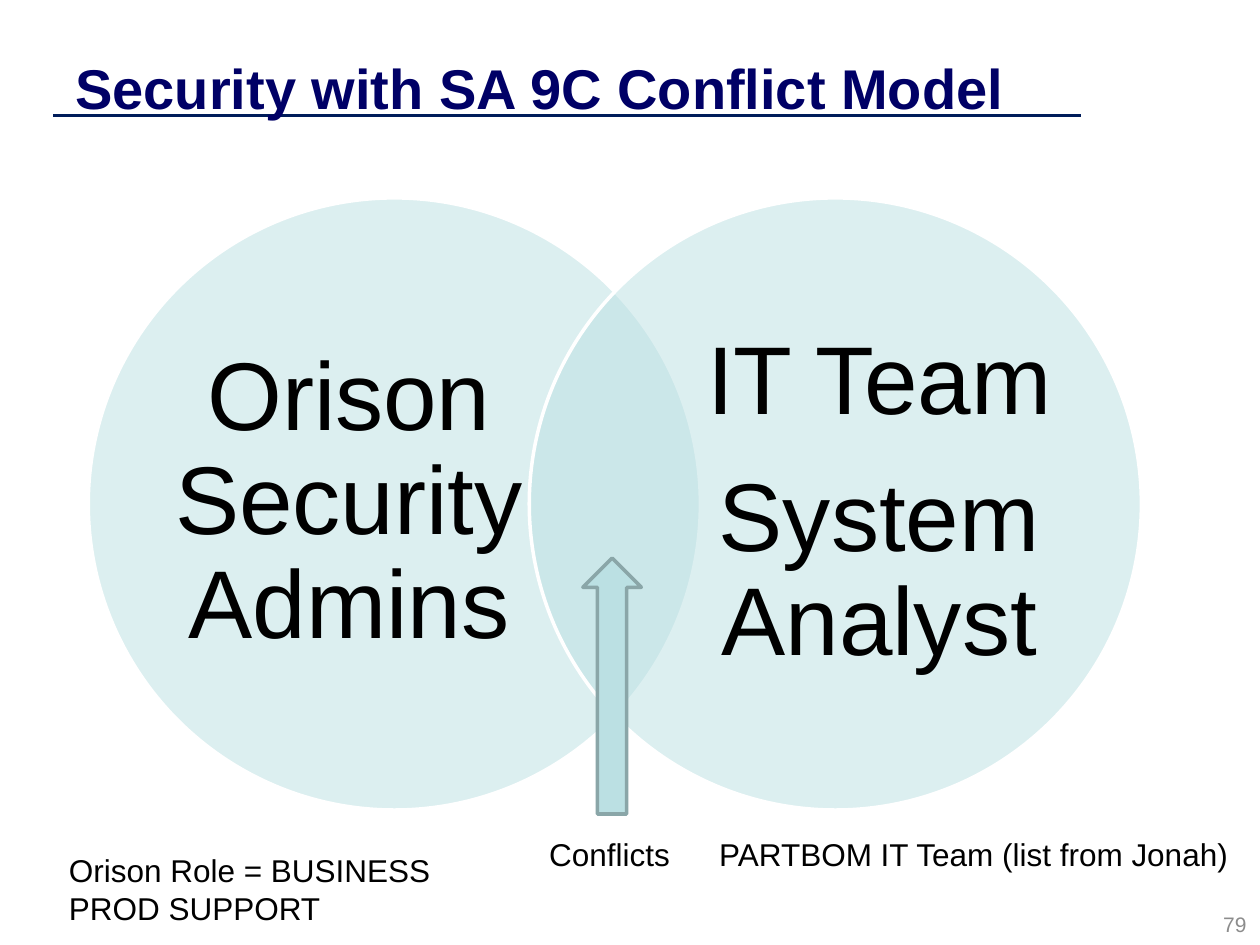
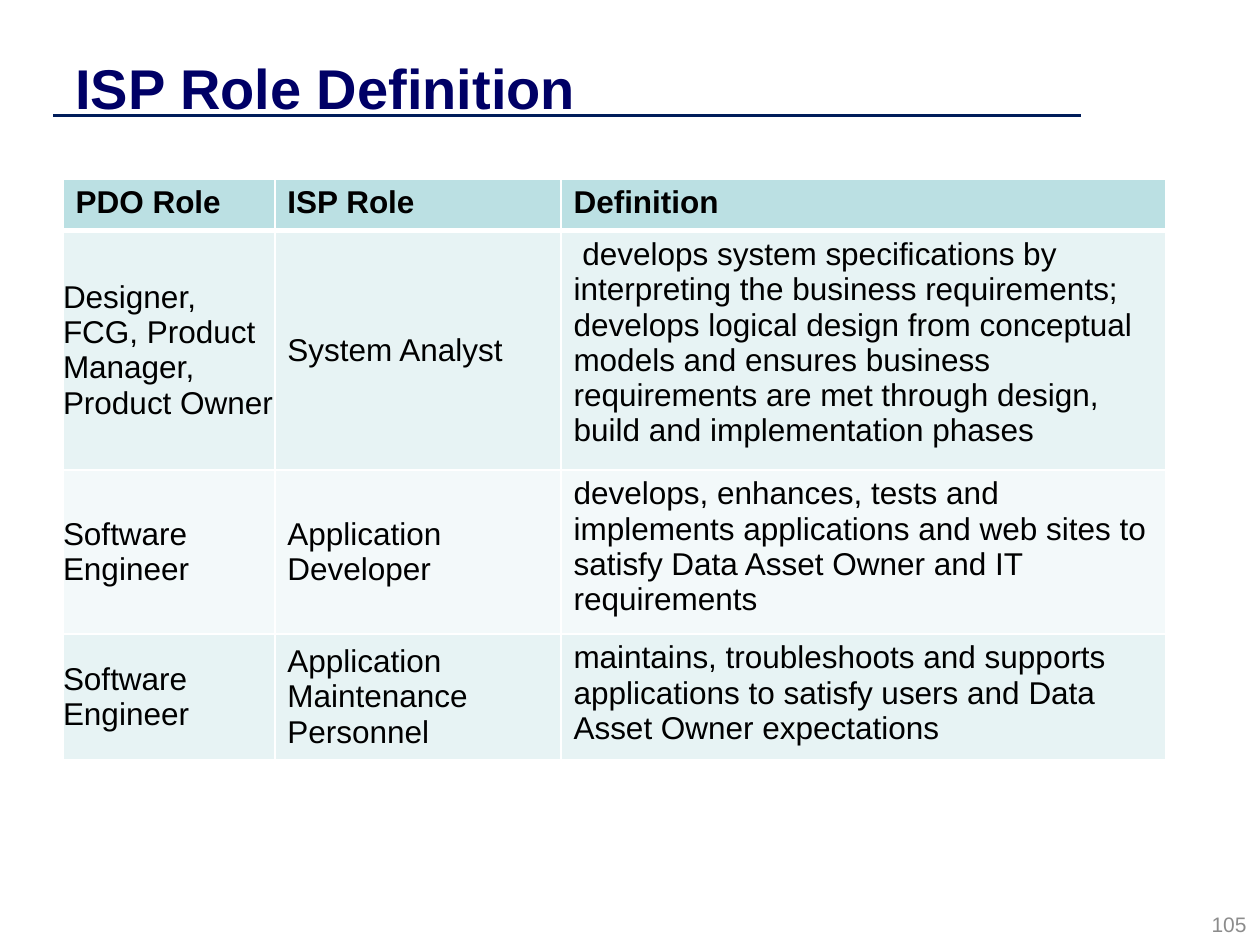
from lxml import etree
from pptx import Presentation
from pptx.dml.color import RGBColor
from pptx.enum.shapes import MSO_CONNECTOR, MSO_SHAPE
from pptx.enum.text import MSO_ANCHOR, PP_ALIGN
from pptx.oxml.ns import qn
from pptx.util import Cm, Pt

STRAIGHT = MSO_CONNECTOR.STRAIGHT
ELLIPSE, UP_ARROW = MSO_SHAPE.OVAL, MSO_SHAPE.UP_ARROW
TOP, MIDDLE = MSO_ANCHOR.TOP, MSO_ANCHOR.MIDDLE
CENTER, RIGHT = PP_ALIGN.CENTER, PP_ALIGN.RIGHT
MARGINS = ("margin_left", "margin_top", "margin_right", "margin_bottom")

BLACK, WHITE, NAVY, RULE, GREY = "000000", "FFFFFF", "000066", "001C5A", "8C8C8C"
AQUA, AQUA_EDGE = "BBE0E3", "8AA6A8"
BANDS = ("E7F3F4", "F3F9FA")

TITLE = {"size": Pt(32), "bold": True}
BODY = {"size": Pt(18), "bold": False}
HEADER = {"size": Pt(18), "bold": True}
VENN = {"size": Pt(55)}
NUMBER = {"size": Pt(12)}
VENN_PARA = {"alignment": CENTER, "line_spacing": 0.9, "space_after": Pt(19)}

CIRCLE_SIZE, CIRCLE_TOP = 12.34, 3.99
TEAMS = (
    (1.78, 3.48, ["Orison Security Admins"]),
    (10.67, 14.17, ["IT Team", "System Analyst"]),
)
NOTES = (
    ("Conflicts", 10.82, 16.71, 3.0, 1.02),
    ("Orison Role = BUSINESS PROD SUPPORT", 1.14, 17.04, 9.12, 1.8),
    ("PARTBOM IT Team (list from Jonah)", 14.25, 16.71, 11.1, 1.02),
)

COLUMN_WIDTHS = (4.27, 5.77, 12.19)
ROW_HEIGHTS = (1.04, 4.5, 3.1, 2.38)
ROLES = (
    ("PDO Role", "ISP Role", "Definition"),
    ("Designer, FCG, Product Manager, Product Owner", "System Analyst",
     " develops system specifications by interpreting the business requirements; "
     "develops logical design from conceptual models and ensures business "
     "requirements are met through design, build and implementation phases"),
    ("Software Engineer", "Application Developer",
     "develops, enhances, tests and implements applications and web sites to "
     "satisfy Data Asset Owner and IT requirements"),
    ("Software Engineer", "Application Maintenance Personnel",
     "maintains, troubleshoots and supports applications to satisfy users and "
     "Data Asset Owner expectations"),
)


def color(value):
    """Turn a hex string into a colour."""
    return RGBColor.from_string(value)


def apply(target, values):
    """Set attributes from a dict of format values."""
    for name, value in values.items():
        setattr(target, name, value)


def paint(target, value):
    """Give a shape or a cell a solid fill."""
    target.fill.solid()
    target.fill.fore_color.rgb = color(value)


def draw_line(line, value, width):
    """Set the colour and width of a line."""
    line.color.rgb = color(value)
    line.width = Pt(width)


def write(frame, texts, style, ink=BLACK, para_style=None):
    """Write one paragraph per text into a text frame."""
    for index, text in enumerate(texts):
        para = frame.paragraphs[0] if index == 0 else frame.add_paragraph()
        apply(para, para_style or {})
        span = para.add_run()
        span.text = text
        apply(span.font, {"name": "Arial", **style})
        span.font.color.rgb = color(ink)


def add_text(page, texts, area, style, ink=BLACK, para_style=None, anchor=TOP, inset=True):
    """Add a wrapping text box; the area is left, top, width, height in cm."""
    box = page.shapes.add_textbox(*map(Cm, area))
    apply(box.text_frame, {"word_wrap": True, "vertical_anchor": anchor})
    if not inset:
        apply(box.text_frame, dict.fromkeys(MARGINS, 0))
    write(box.text_frame, texts, style, ink, para_style)


def add_figure(page, kind, area, edge, alpha=None):
    """Add a filled and outlined shape, translucent if alpha percent is given."""
    figure = page.shapes.add_shape(kind, *map(Cm, area))
    figure.shadow.inherit = False
    paint(figure, AQUA)
    draw_line(figure.line, edge, 2)
    if alpha:
        tint = figure.fill._xPr.find(qn("a:solidFill"))[0]
        etree.SubElement(tint, qn("a:alpha"), val=str(alpha * 1000))


def add_page(deck, title, number):
    """Add a blank page with the title, its rule and the page number."""
    page = deck.slides.add_slide(deck.slide_layouts[6])
    rule = page.shapes.add_connector(STRAIGHT, Cm(1.07), Cm(2.33), Cm(21.8), Cm(2.33))
    draw_line(rule.line, RULE, 2)
    etree.SubElement(rule._element.spPr, qn("a:effectLst"))
    add_text(page, [title], (1.27, 0.76, 20.32, 1.98), TITLE, NAVY, anchor=MIDDLE)
    add_text(page, [str(number)], (19.46, 18.19, 5.92, 0.86), NUMBER, GREY,
             {"alignment": RIGHT}, MIDDLE)
    return page


def add_border(cell, side, width):
    """Add a white border to one side of a cell."""
    border = etree.SubElement(cell._tc.get_or_add_tcPr(), qn(f"a:ln{side}"), w=str(Pt(width)))
    fill = etree.SubElement(border, qn("a:solidFill"))
    etree.SubElement(fill, qn("a:srgbClr"), val=WHITE)


def format_cell(cell, row, column):
    """Set the borders, fill, anchor and margins of a role cell."""
    thick = {(0, "B"), (1, "T")}
    for side in "LRTB":
        add_border(cell, side, 3 if (row, side) in thick else 1)
    paint(cell, BANDS[(row - 1) % 2] if row else AQUA)
    cell.vertical_anchor = MIDDLE if row and column < 2 else TOP
    if row and column == 0:
        apply(cell, dict.fromkeys(MARGINS, 0))


def add_role_table(page):
    """Add the table of roles and definitions."""
    table = page.shapes.add_table(
        len(ROLES), len(COLUMN_WIDTHS), Cm(1.27), Cm(3.61),
        Cm(sum(COLUMN_WIDTHS)), Cm(sum(ROW_HEIGHTS))).table
    for column, width in zip(table.columns, COLUMN_WIDTHS):
        column.width = Cm(width)
    for row, height in zip(table.rows, ROW_HEIGHTS):
        row.height = Cm(height)
    for row, texts in enumerate(ROLES):
        for column, text in enumerate(texts):
            cell = table.cell(row, column)
            format_cell(cell, row, column)
            write(cell.text_frame, [text], BODY if row else HEADER)


def add_conflict_model(page):
    """Add the overlapping teams, the conflict arrow and the notes."""
    for circle_left, text_left, texts in TEAMS:
        add_figure(page, ELLIPSE, (circle_left, CIRCLE_TOP, CIRCLE_SIZE, CIRCLE_SIZE), WHITE, 50)
        add_text(page, texts, (text_left, 5.44, 7.11, 9.42), VENN,
                 para_style=VENN_PARA, anchor=MIDDLE, inset=False)
    add_figure(page, UP_ARROW, (11.75, 11.25, 1.18, 5.16), AQUA_EDGE)
    for text, *area in NOTES:
        add_text(page, [text], area, BODY)


def main():
    """Build and save the deck."""
    deck = Presentation()
    apply(deck, {"slide_width": Cm(25.4), "slide_height": Cm(19.05)})
    add_conflict_model(add_page(deck, "Security with SA 9C Conflict Model", 79))
    add_role_table(add_page(deck, "ISP Role Definition", 105))
    deck.save("out.pptx")


if __name__ == "__main__":
    main()
